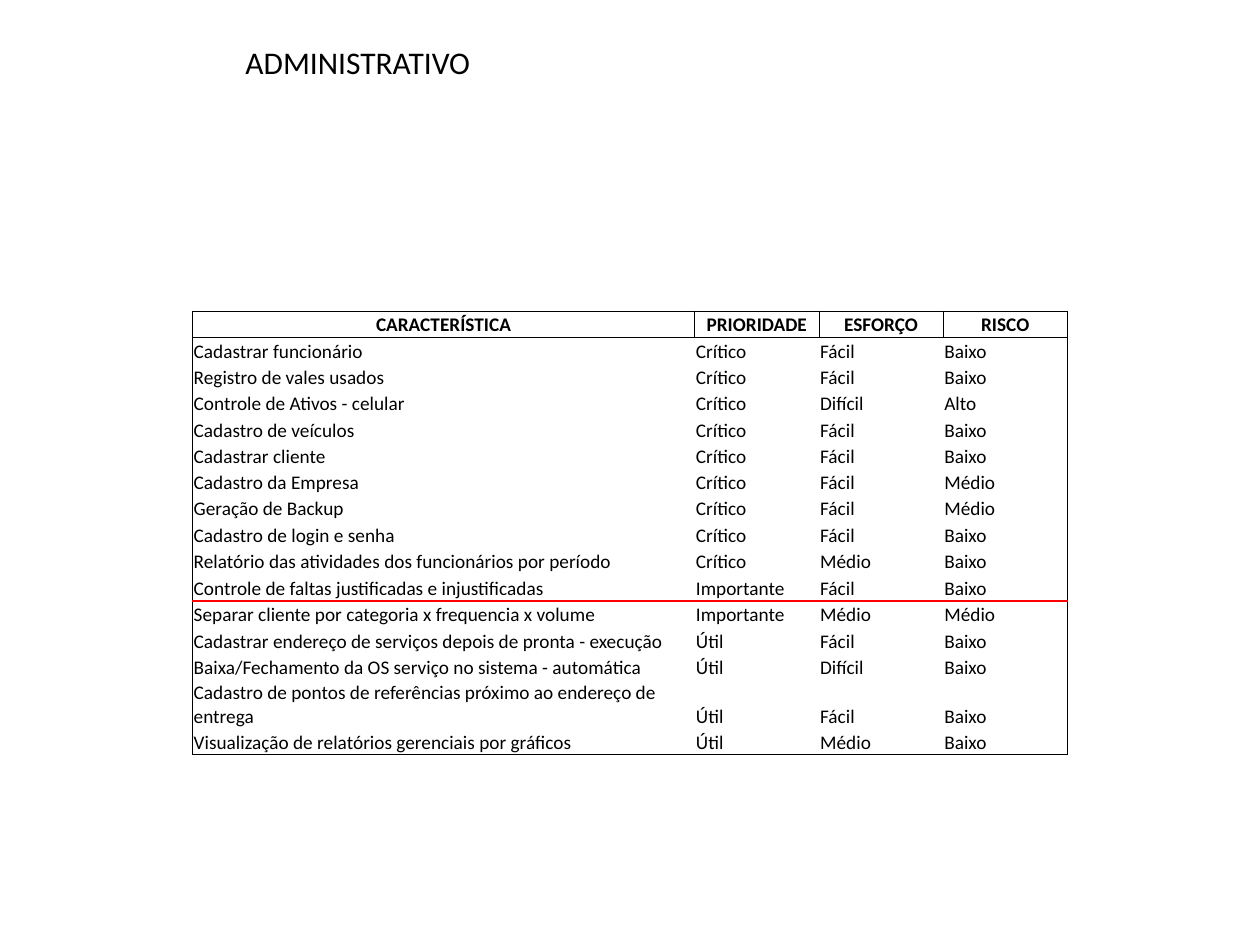
"""Build the ADMINISTRATIVO slide with its table of prioritised features."""
from dataclasses import dataclass
from typing import Any, Optional

from lxml.etree import SubElement
from pptx import Presentation
from pptx.dml.color import RGBColor
from pptx.enum.text import MSO_ANCHOR, MSO_AUTO_SIZE, PP_ALIGN
from pptx.oxml.ns import qn
from pptx.util import Pt


@dataclass(frozen=True)
class Theme:
    font: str = "Calibri"
    text: str = "000000"
    cutoff: str = "FF0000"
    title_size: float = 18
    table_size: float = 11


@dataclass(frozen=True)
class Feature:
    name: str
    priority: str
    effort: str
    risk: str

    def values(self) -> tuple[str, ...]:
        return self.name, self.priority, self.effort, self.risk


@dataclass(frozen=True)
class Border:
    color: str
    width: float


THEME = Theme()
THIN = Border(THEME.text, 0.5)
CUTOFF = Border(THEME.cutoff, 1)
HEADER = Feature("CARACTERÍSTICA", "PRIORIDADE", "ESFORÇO", "RISCO")
FEATURES = [
    Feature("Cadastrar funcionário", "Crítico", "Fácil", "Baixo"),
    Feature("Registro de vales usados", "Crítico", "Fácil", "Baixo"),
    Feature("Controle de Ativos - celular", "Crítico", "Difícil", "Alto"),
    Feature("Cadastro de veículos", "Crítico", "Fácil", "Baixo"),
    Feature("Cadastrar cliente", "Crítico", "Fácil", "Baixo"),
    Feature("Cadastro da Empresa", "Crítico", "Fácil", "Médio"),
    Feature("Geração de Backup", "Crítico", "Fácil", "Médio"),
    Feature("Cadastro de login e senha", "Crítico", "Fácil", "Baixo"),
    Feature("Relatório das atividades dos funcionários por período", "Crítico", "Médio", "Baixo"),
    Feature("Controle de faltas justificadas e injustificadas", "Importante", "Fácil", "Baixo"),
    Feature("Separar cliente por categoria x frequencia x volume", "Importante", "Médio", "Médio"),
    Feature("Cadastrar endereço de serviços depois de pronta - execução", "Útil", "Fácil", "Baixo"),
    Feature("Baixa/Fechamento da OS serviço no sistema - automática", "Útil", "Difícil", "Baixo"),
    Feature("Cadastro de pontos de referências próximo ao endereço de entrega", "Útil", "Fácil", "Baixo"),
    Feature("Visualização de relatórios gerenciais por gráficos", "Útil", "Médio", "Baixo"),
]
ROWS = [HEADER, *FEATURES]
LAST_ROW = len(ROWS) - 1
CUTOFF_ROW = 10
COLUMN_WIDTHS = (287, 71, 71, 71)
LAST_COLUMN = len(COLUMN_WIDTHS) - 1
ROW_HEIGHT = 15
CUTOFF_ROW_HEIGHT = 15.6


def apply_format(target: Any, values: dict[str, Any]) -> None:
    for name, value in values.items():
        setattr(target, name, value)


def write_text(paragraph: Any, text: str, size: float, bold: bool = False) -> None:
    run = paragraph.add_run()
    run.text = text
    apply_format(run.font, {"name": THEME.font, "size": Pt(size), "bold": bold})
    run.font.color.rgb = RGBColor.from_string(THEME.text)


def row_edge(edge: int) -> Optional[Border]:
    if edge == CUTOFF_ROW + 1:
        return CUTOFF
    return THIN if edge in (0, 1, LAST_ROW + 1) else None


def column_edge(edge: int, row: int) -> Optional[Border]:
    return THIN if row == 0 or edge in (0, LAST_COLUMN + 1) else None


def draw_borders(cell: Any, row: int, column: int) -> None:
    borders = {
        "a:lnL": column_edge(column, row),
        "a:lnR": column_edge(column + 1, row),
        "a:lnT": row_edge(row),
        "a:lnB": row_edge(row + 1),
    }
    properties = cell._tc.get_or_add_tcPr()
    for tag, border in borders.items():
        line = SubElement(properties, qn(tag))
        if border is None:
            SubElement(line, qn("a:noFill"))
            continue
        line.set("w", str(Pt(border.width)))
        fill = SubElement(line, qn("a:solidFill"))
        SubElement(fill, qn("a:srgbClr")).set("val", border.color)


def fill_cell(cell: Any, text: str, row: int, column: int) -> None:
    is_header = row == 0
    apply_format(cell, {
        "margin_left": Pt(0.7),
        "margin_right": Pt(0.7),
        "margin_top": Pt(0.7),
        "margin_bottom": Pt(0),
        "vertical_anchor": MSO_ANCHOR.MIDDLE if is_header else MSO_ANCHOR.BOTTOM,
    })
    paragraph = cell.text_frame.paragraphs[0]
    paragraph.alignment = PP_ALIGN.CENTER if is_header else PP_ALIGN.LEFT
    write_text(paragraph, text, THEME.table_size, is_header)
    draw_borders(cell, row, column)
    cell.fill.background()


def add_feature_table(slide: Any) -> None:
    shape = slide.shapes.add_table(
        len(ROWS), len(COLUMN_WIDTHS), Pt(110), Pt(177.8),
        Pt(sum(COLUMN_WIDTHS)), Pt(ROW_HEIGHT * len(ROWS)))
    table = shape.table
    apply_format(table, {"first_row": False, "horz_banding": False})
    for column, width in zip(table.columns, COLUMN_WIDTHS):
        column.width = Pt(width)
    for row, feature in enumerate(ROWS):
        height = CUTOFF_ROW_HEIGHT if row == CUTOFF_ROW else ROW_HEIGHT
        table.rows[row].height = Pt(height)
        for column, text in enumerate(feature.values()):
            fill_cell(table.cell(row, column), text, row, column)


def add_title(slide: Any) -> None:
    shape = slide.shapes.add_textbox(Pt(133.2), Pt(21), Pt(144), Pt(29))
    frame = shape.text_frame
    apply_format(frame, {"word_wrap": False, "auto_size": MSO_AUTO_SIZE.SHAPE_TO_FIT_TEXT})
    write_text(frame.paragraphs[0], "ADMINISTRATIVO", THEME.title_size)


def main() -> None:
    presentation = Presentation()
    apply_format(presentation, {"slide_width": Pt(720), "slide_height": Pt(540)})
    slide = presentation.slides.add_slide(presentation.slide_layouts[6])
    add_feature_table(slide)
    add_title(slide)
    presentation.save("out.pptx")


main()
